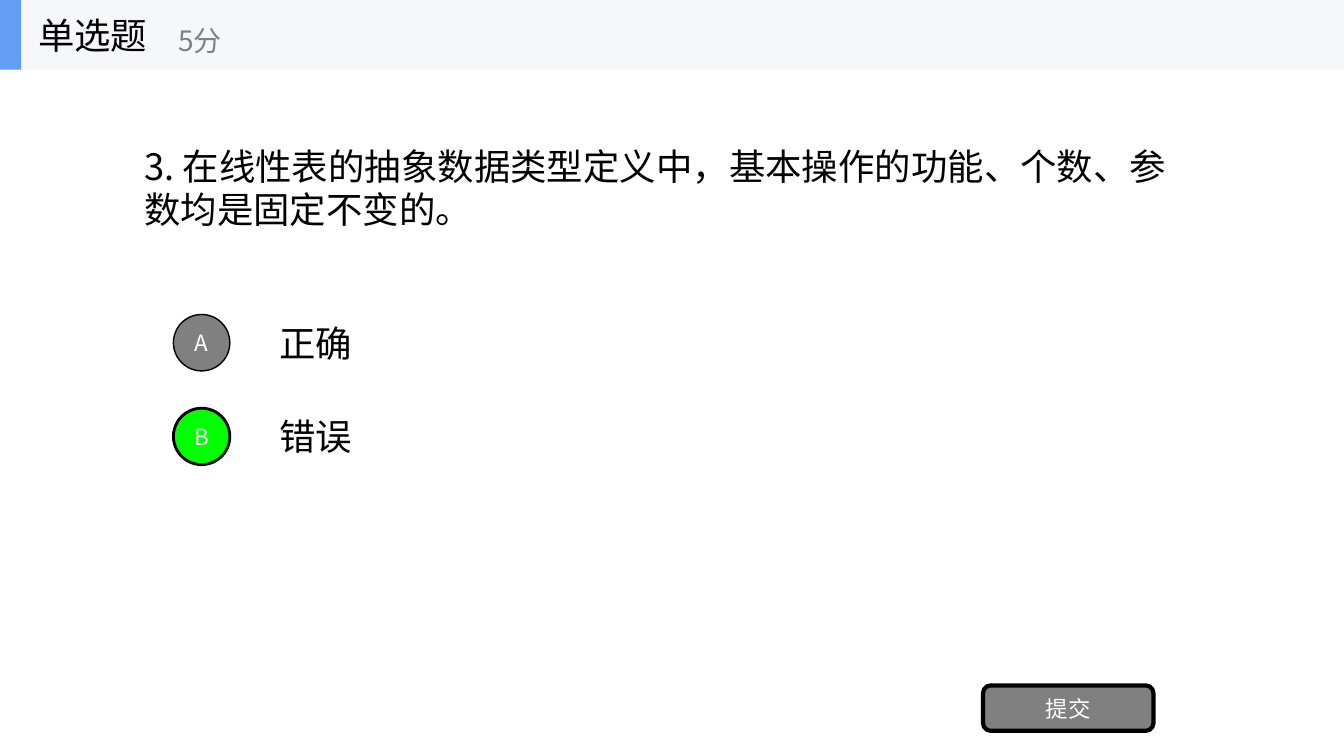
from lxml import etree
from pptx import Presentation
from pptx.dml.color import RGBColor
from pptx.enum.shapes import MSO_SHAPE as Shape
from pptx.enum.text import MSO_ANCHOR as Anchor, MSO_AUTO_SIZE as AutoSize, PP_ALIGN as Align
from pptx.oxml.ns import qn
from pptx.util import Inches, Pt

# Content
HEADING = "单选题"
POINTS = "5分"
QUESTION = "3. 在线性表的抽象数据类型定义中，基本操作的功能、个数、参数均是固定不变的。"
SUBMIT = "提交"

FONT = "Noto Sans CJK SC"
BLACK = RGBColor(0x00, 0x00, 0x00)
WHITE = RGBColor(0xFF, 0xFF, 0xFF)
GRAY = RGBColor(0x80, 0x80, 0x80)
GREEN = RGBColor(0x00, 0xFF, 0x00)
PALE = RGBColor(0xF6, 0xF7, 0xF8)
BLUE = RGBColor(0x63, 0x9E, 0xF4)

# Letter, answer, badge fill, badge outline in points
OPTIONS = [("A", "正确", GRAY, 1), ("B", "错误", GREEN, 2)]

SLIDE_WIDTH, SLIDE_HEIGHT = 13.33, 7.5
HEADER_HEIGHT = 0.69
OPTION_TOP, OPTION_STEP, OPTION_HEIGHT = 3.05, 0.93, 0.7
BADGE_LEFT, BADGE_SIZE = 1.72, 0.56


def write(shape, text, size=26, color=BLACK, align=Align.LEFT, wrap=True):
    frame = shape.text_frame
    frame.auto_size = AutoSize.NONE
    frame.word_wrap = wrap
    frame.vertical_anchor = Anchor.MIDDLE
    paragraph = frame.paragraphs[0]
    paragraph.alignment = align
    paragraph.line_spacing = 1.0
    run = paragraph.add_run()
    run.text = text
    run.font.size = Pt(size)
    run.font.name = FONT
    run.font.color.rgb = color
    # East Asian typeface
    etree.SubElement(run.font._element, qn("a:ea")).set("typeface", FONT)


def add_text(shapes, box, text, **style):
    write(shapes.add_textbox(*map(Inches, box)), text, **style)


def add_block(shapes, kind, box, fill, line_width=0):
    shape = shapes.add_shape(kind, *map(Inches, box))
    shape.shadow.inherit = False
    shape.fill.solid()
    shape.fill.fore_color.rgb = fill
    if line_width:
        shape.line.color.rgb = BLACK
        shape.line.width = Pt(line_width)
    else:
        shape.line.fill.background()
    return shape


presentation = Presentation()
presentation.slide_width = Inches(SLIDE_WIDTH)
presentation.slide_height = Inches(SLIDE_HEIGHT)
slide = presentation.slides.add_slide(presentation.slide_layouts[5])
shapes = slide.shapes

# Question
question = shapes.title
question.left, question.top, question.width, question.height = map(
    Inches, (1.33, HEADER_HEIGHT, 10.67, 2.34))
write(question, QUESTION)

# Answer options
for index, (letter, answer, fill, line_width) in enumerate(OPTIONS):
    top = OPTION_TOP + index * OPTION_STEP
    add_text(shapes, (2.67, top, 9.33, OPTION_HEIGHT), answer)
    badge_top = top + (OPTION_HEIGHT - BADGE_SIZE) / 2
    badge = add_block(shapes, Shape.OVAL, (BADGE_LEFT, badge_top, BADGE_SIZE, BADGE_SIZE),
                      fill, line_width)
    write(badge, letter, size=16, color=WHITE, align=Align.CENTER)

# Submit button
button = add_block(shapes, Shape.ROUNDED_RECTANGLE, (9.75, 6.8, 1.69, 0.45), GRAY, 3)
write(button, SUBMIT, size=16, color=WHITE, align=Align.CENTER)

# Header bar
header = shapes.add_group_shape().shapes
add_block(header, Shape.RECTANGLE, (0, 0, SLIDE_WIDTH, HEADER_HEIGHT), PALE)
add_block(header, Shape.RECTANGLE, (0, 0, 0.21, HEADER_HEIGHT), BLUE)
add_text(header, (0.28, 0, 2.08, HEADER_HEIGHT), HEADING, wrap=False)
add_text(header, (1.67, 0.12, 2.5, 0.56), POINTS, size=20, color=GRAY, wrap=False)

presentation.save("out.pptx")
